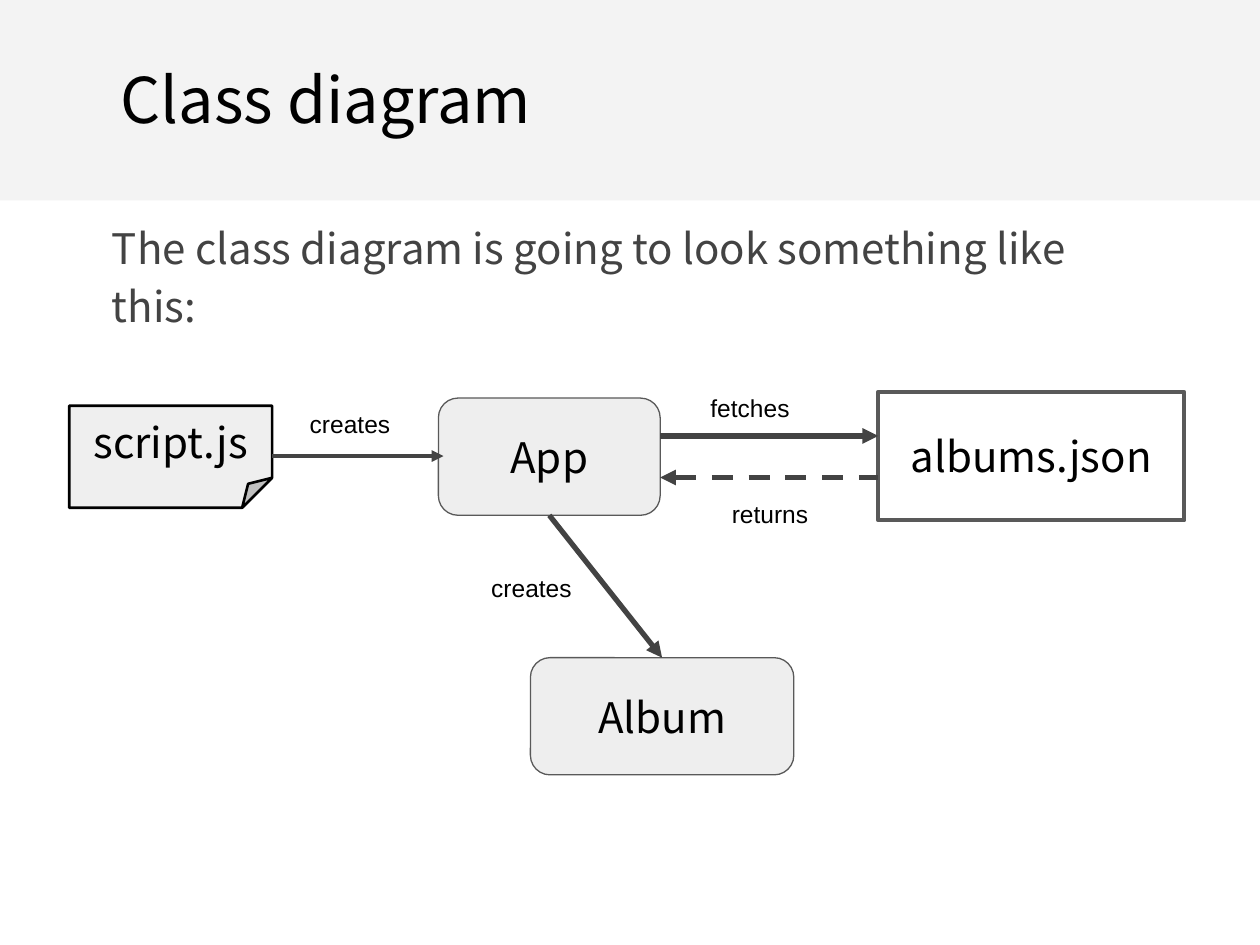
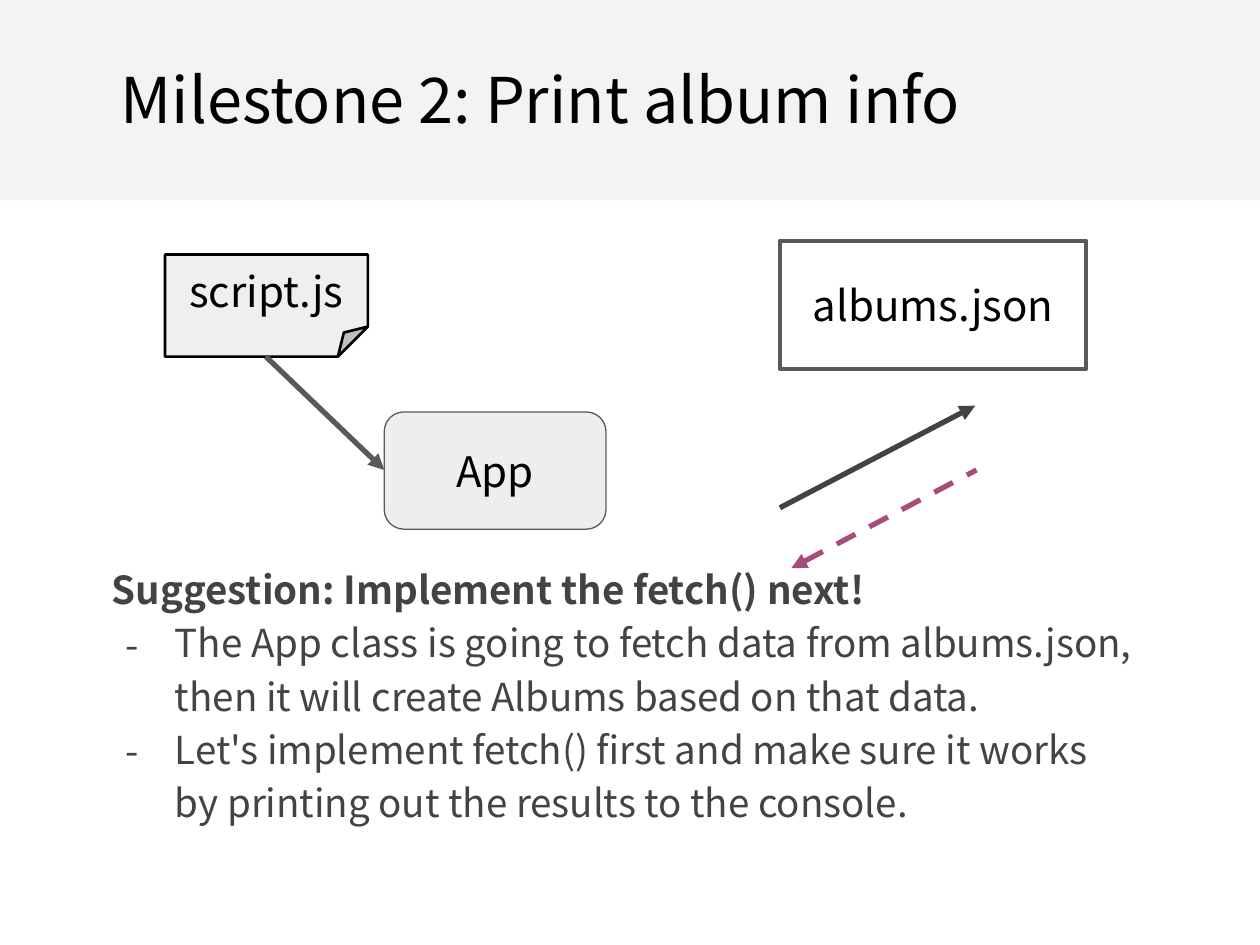
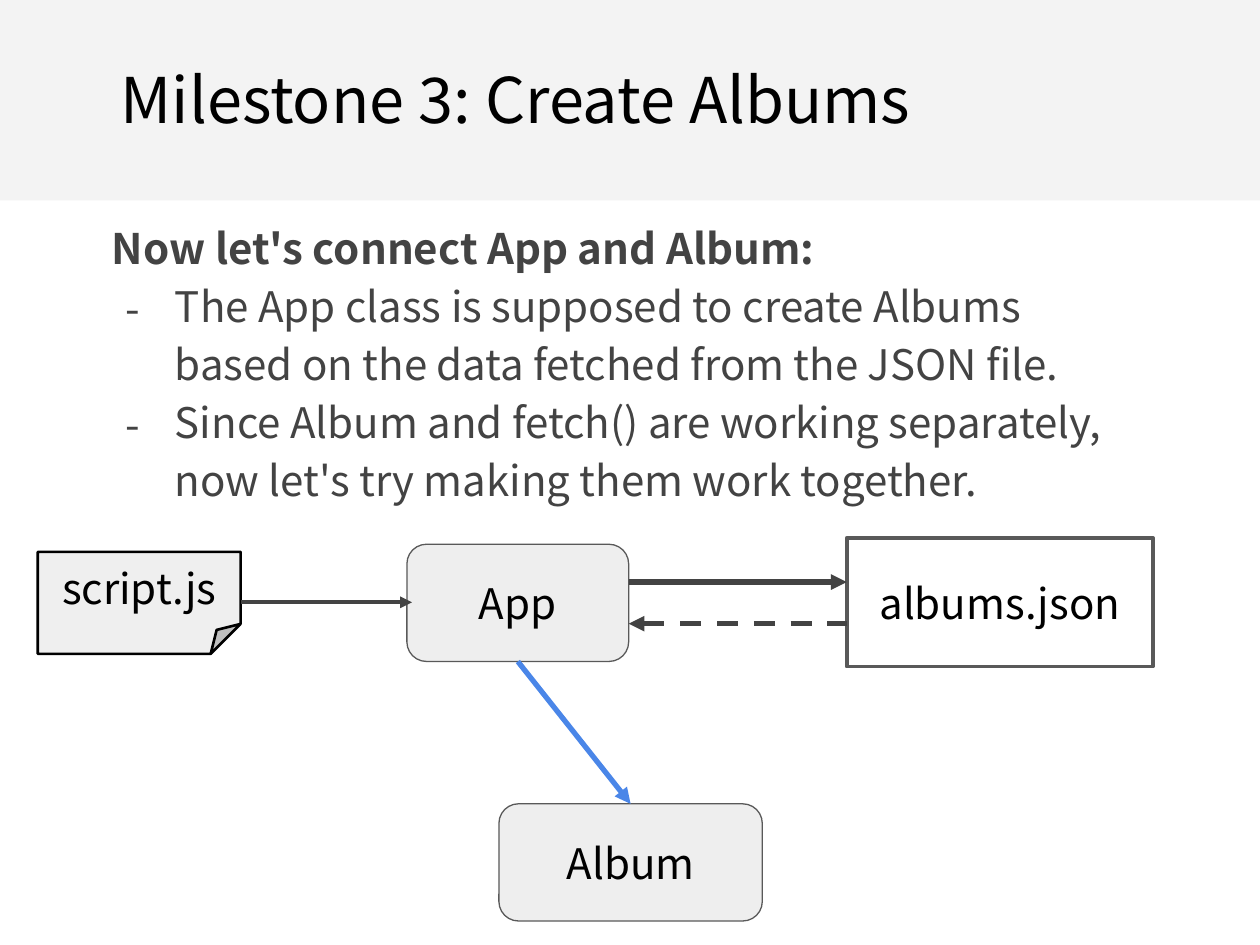
from lxml.etree import SubElement
from pptx import Presentation
from pptx.dml.color import RGBColor
from pptx.enum.dml import MSO_LINE
from pptx.enum.shapes import MSO_CONNECTOR, MSO_SHAPE
from pptx.enum.text import MSO_ANCHOR, PP_ALIGN
from pptx.oxml.ns import qn
from pptx.util import Inches, Pt

BLACK = RGBColor(0x00, 0x00, 0x00)
DARK = RGBColor(0x43, 0x43, 0x43)
OUTLINE = RGBColor(0x59, 0x59, 0x59)
BAND = RGBColor(0xF3, 0xF3, 0xF3)
CLASS_FILL = RGBColor(0xEE, 0xEE, 0xEE)
FILE_FILL = RGBColor(0xEF, 0xEF, 0xEF)
PLUM = RGBColor(0xA6, 0x4D, 0x79)
BLUE = RGBColor(0x4A, 0x86, 0xE8)
SANS = "Noto Sans CJK SC"
LABEL_FONT = "Arial"
APP_WIDTH, BOX_HEIGHT, ALBUM_WIDTH = 1.76, 0.93, 2.09


def set_insets(frame):
    """Wrap the text and give it equal insets."""
    frame.word_wrap = True
    frame.margin_left = frame.margin_right = Inches(0.1)
    frame.margin_top = frame.margin_bottom = Inches(0.1)


def format_paragraph(para, size, color=BLACK, bold=False, font=SANS):
    """Format every run of a paragraph."""
    for span in para.runs:
        span.font.name = font
        span.font.size = Pt(size)
        span.font.bold = bold
        span.font.color.rgb = color


def add_text(page, left, top, width, height, text):
    """Add a wrapped text box and return its frame."""
    box = page.shapes.add_textbox(Inches(left), Inches(top), Inches(width), Inches(height))
    set_insets(box.text_frame)
    box.text_frame.text = text
    return box.text_frame


def add_box(page, kind, left, top, width, height, fill=None, outline=None, weight=0, text=""):
    """Add a preset shape with centred text."""
    box = page.shapes.add_shape(kind, Inches(left), Inches(top), Inches(width), Inches(height))
    box.shadow.inherit = False
    if fill is None:
        box.fill.background()
    else:
        box.fill.solid()
        box.fill.fore_color.rgb = fill
    if outline is None:
        box.line.fill.background()
    else:
        box.line.color.rgb = outline
        box.line.width = Pt(weight)
    if text:
        frame = box.text_frame
        set_insets(frame)
        frame.vertical_anchor = MSO_ANCHOR.MIDDLE
        frame.text = text
        frame.paragraphs[0].alignment = PP_ALIGN.CENTER
        format_paragraph(frame.paragraphs[0], 24)
    return box


def add_class(page, left, top, width, name):
    """Add a rounded class box."""
    add_box(page, MSO_SHAPE.ROUNDED_RECTANGLE, left, top, width, BOX_HEIGHT,
            CLASS_FILL, OUTLINE, 0.75, name)


def add_script(page, left, top):
    """Add the folded script file."""
    box = add_box(page, MSO_SHAPE.FOLDED_CORNER, left, top, 1.61, 0.81,
                  FILE_FILL, BLACK, 1.5, "script.js")
    geometry = box._element.spPr.find(qn("a:prstGeom"))
    for child in list(geometry):
        geometry.remove(child)
    adjustments = SubElement(geometry, qn("a:avLst"))
    SubElement(adjustments, qn("a:gd"), name="adj", fmla="val 29400")


def add_data_file(page, left, top):
    """Add the outlined data file."""
    add_box(page, MSO_SHAPE.RECTANGLE, left, top, 2.43, 1.02,
            outline=OUTLINE, weight=2.25, text="albums.json")


def add_arrow(page, start, end, color=DARK, weight=3, returning=False):
    """Add an arrow, dashed and pointing at its start when returning."""
    arrow = page.shapes.add_connector(MSO_CONNECTOR.STRAIGHT, *map(Inches, start + end))
    arrow.line.color.rgb = color
    arrow.line.width = Pt(weight)
    if returning:
        arrow.line.dash_style = MSO_LINE.DASH
    line = arrow._element.spPr.find(qn("a:ln"))
    SubElement(line, qn("a:headEnd" if returning else "a:tailEnd"), type="triangle")
    SubElement(arrow._element.spPr, qn("a:effectLst"))


def add_label(page, left, top, text):
    """Add a small arrow label."""
    frame = add_text(page, left, top, 1.12, 0.94, text)
    format_paragraph(frame.paragraphs[0], 14, font=LABEL_FONT)


def add_dash_bullet(para):
    """Give a paragraph a hanging dash."""
    properties = para._p.get_or_add_pPr()
    properties.set("marL", str(Inches(0.5)))
    properties.set("indent", str(Inches(-0.39)))
    color = SubElement(properties, qn("a:buClr"))
    SubElement(color, qn("a:srgbClr"), val=str(DARK))
    SubElement(properties, qn("a:buFont"), typeface=SANS)
    SubElement(properties, qn("a:buChar"), char="-")


def add_body(page, top, height, size, lead, points=()):
    """Add a lead line, bold when dash points follow it."""
    frame = add_text(page, 0.79, top, 8.35, height, lead)
    for point in points:
        para = frame.add_paragraph()
        para.text = point
        add_dash_bullet(para)
    for index, para in enumerate(frame.paragraphs):
        para.line_spacing = 1.15
        format_paragraph(para, size, DARK, bold=bool(points) and index == 0)


def add_page(deck, title):
    """Add a blank page with the title band."""
    page = deck.slides.add_slide(deck.slide_layouts[6])
    add_box(page, MSO_SHAPE.RECTANGLE, 0, 0, 10, 1.59, BAND)
    frame = add_text(page, 0.86, 0.38, 8.29, 0.83, title)
    format_paragraph(frame.paragraphs[0], 36)
    return page


def add_class_diagram(page, left, top, create_color=DARK):
    """Add the whole diagram, placed by the corner of the App box."""
    right, bottom = left + APP_WIDTH, top + BOX_HEIGHT
    data_left, album_left, album_top = left + 3.49, left + 0.73, top + 2.06
    add_class(page, left, top, APP_WIDTH, "App")
    add_class(page, album_left, album_top, ALBUM_WIDTH, "Album")
    add_data_file(page, data_left, top - 0.05)
    add_script(page, left - 2.93, top + 0.06)
    add_arrow(page, (right, top + 0.3), (data_left, top + 0.3))
    add_arrow(page, (right, top + 0.63), (data_left, top + 0.63), returning=True)
    add_arrow(page, (left - 1.32, top + 0.46), (left + 0.04, top + 0.46), weight=2.25)
    add_arrow(page, (left + APP_WIDTH / 2, bottom),
              (album_left + ALBUM_WIDTH / 2, album_top), create_color)


def add_overview_page(deck):
    """Show the labelled class diagram."""
    page = add_page(deck, "Class diagram")
    add_body(page, 1.61, 1.02, 24, "The class diagram is going to look something like this:")
    add_class_diagram(page, 3.48, 3.16)
    add_label(page, 2.36, 3.15, "creates")
    add_label(page, 3.8, 4.45, "creates")
    add_label(page, 5.54, 3.02, "fetches")
    add_label(page, 5.71, 3.86, "returns")


def add_fetch_page(deck):
    """Show the fetch milestone."""
    page = add_page(deck, "Milestone 2: Print album info")
    add_body(page, 4.34, 2.79, 22, "Suggestion: Implement the fetch() next!", (
        "The App class is going to fetch data from albums.json, "
        "then it will create Albums based on that data.",
        "Let's implement fetch() first and make sure it works "
        "by printing out the results to the console.",
    ))
    add_class(page, 3.05, 3.27, APP_WIDTH, "App")
    add_data_file(page, 6.19, 1.91)
    add_script(page, 1.31, 2.02)
    add_arrow(page, (6.19, 4.03), (7.74, 3.22))
    add_arrow(page, (6.28, 4.51), (7.75, 3.73), PLUM, returning=True)
    add_arrow(page, (2.11, 2.83), (3.05, 3.73), OUTLINE)


def add_albums_page(deck):
    """Show the milestone that connects App and Album."""
    page = add_page(deck, "Milestone 3: Create Albums")
    add_class_diagram(page, 3.23, 4.32, BLUE)
    add_body(page, 1.61, 2.79, 24, "Now let's connect App and Album:", (
        "The App class is supposed to create Albums "
        "based on the data fetched from the JSON file.",
        "Since Album and fetch() are working separately, "
        "now let's try making them work together.",
    ))


def main():
    """Build and save the deck."""
    deck = Presentation()
    deck.slide_width, deck.slide_height = Inches(10), Inches(7.5)
    add_overview_page(deck)
    add_fetch_page(deck)
    add_albums_page(deck)
    deck.save("out.pptx")


if __name__ == "__main__":
    main()
